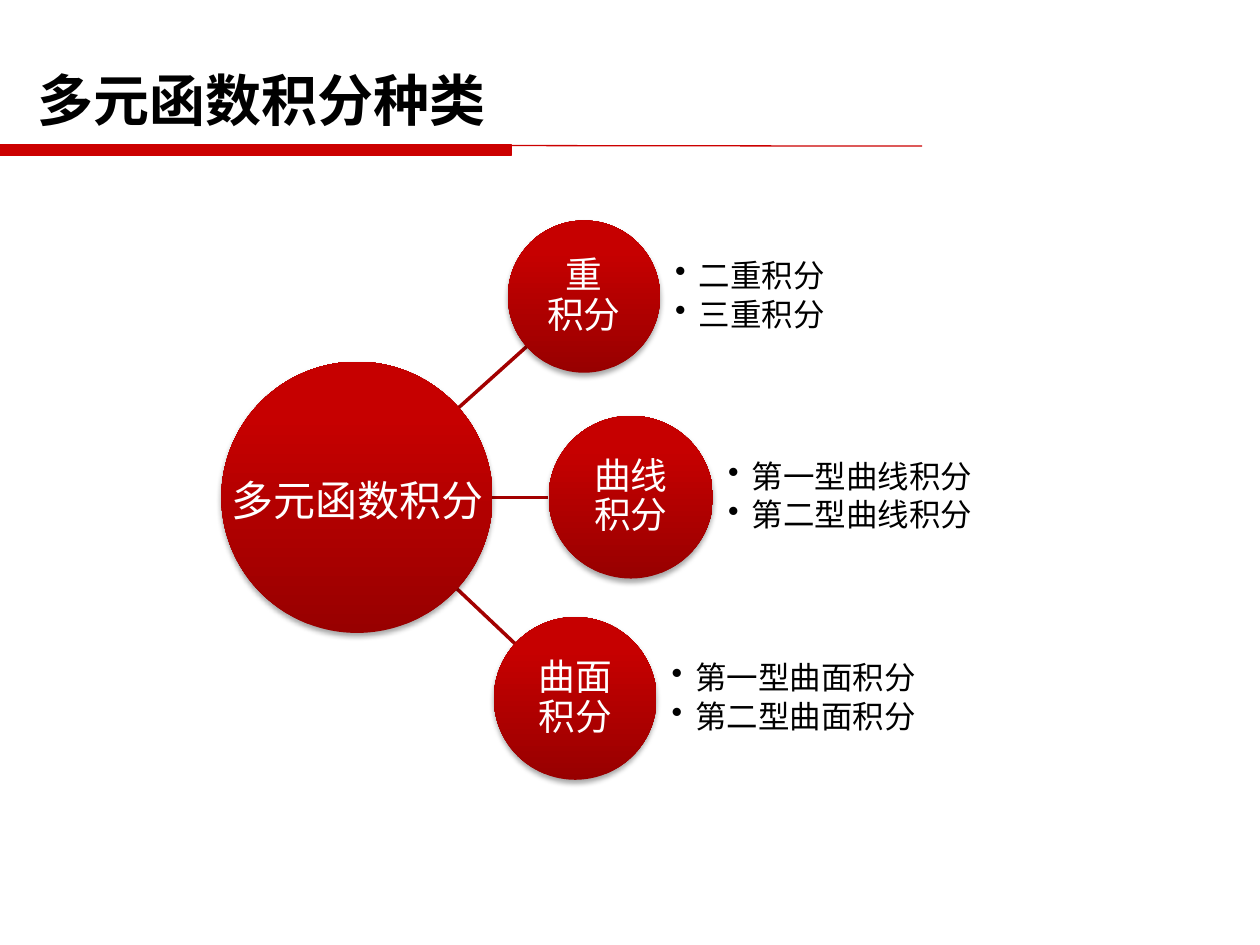
from copy import deepcopy
from dataclasses import dataclass

from pptx import Presentation
from pptx.dml.color import RGBColor as RGB
from pptx.enum.shapes import MSO_CONNECTOR as LINE, MSO_SHAPE as KIND
from pptx.enum.text import MSO_ANCHOR as ANCHOR, MSO_AUTO_SIZE as FIT, PP_ALIGN as ALIGN
from pptx.oxml import parse_xml
from pptx.oxml.ns import nsdecls, qn
from pptx.util import Pt


@dataclass
class Theme:
    red: RGB = RGB(0xCC, 0, 0)
    link: RGB = RGB(0xA3, 0, 0)
    ink: RGB = RGB(0, 0, 0)
    white: RGB = RGB(255, 255, 255)
    grad: tuple = ((0, "980000"), (0.8, "C60000"), (1, "C70000"))
    head: int = 32
    root: int = 24
    node: int = 21
    item: int = 18
    sans: str = "Noto Sans CJK SC"
    serif: str = "Cambria"
    plain: str = "Arial"


theme = Theme()
prs = Presentation()
prs.slide_width, prs.slide_height = Pt(720), Pt(540)
slide = prs.slides.add_slide(prs.slide_layouts[6])
shapes = slide.shapes


def add_text(box, lines, size, font, color, bold=False, inset=None):
    """Add a text box with one paragraph per entry of lines."""
    frame = shapes.add_textbox(*map(Pt, box)).text_frame
    frame.word_wrap = inset is not None
    if inset is None:
        frame.auto_size = FIT.SHAPE_TO_FIT_TEXT
    else:
        frame.vertical_anchor = ANCHOR.MIDDLE
        frame.margin_left = frame.margin_right = Pt(inset)
        frame.margin_top = frame.margin_bottom = Pt(inset)
    for i, line in enumerate(lines):
        para = frame.add_paragraph() if i else frame.paragraphs[0]
        for j, part in enumerate(line.split("\n")):
            if j:
                para.add_line_break()
            run = para.add_run()
            run.text = part
            run.font.size, run.font.name, run.font.bold = Pt(size), font, bold
            run.font.color.rgb = color
    return frame.paragraphs


def add_disc(x, y, w, h):
    """Add a circle with a red gradient and a soft shadow."""
    disc = shapes.add_shape(KIND.OVAL, *map(Pt, (x, y, w, h)))
    disc.line.fill.background()
    disc.fill.gradient()
    disc.fill.gradient_angle = 90
    stops = disc._element.spPr.find(".//" + qn("a:gsLst"))
    stops.append(deepcopy(stops[0]))
    for stop, (pos, color) in zip(disc.fill.gradient_stops, theme.grad):
        stop.position, stop.color.rgb = pos, RGB.from_string(color)
    disc.shadow.inherit = False
    disc._element.spPr.find(qn("a:effectLst")).append(parse_xml(
        f'<a:outerShdw {nsdecls("a")} blurRad="{Pt(3.1)}" dist="{Pt(1.8)}" '
        'dir="5400000" rotWithShape="0"><a:srgbClr val="000000">'
        '<a:alpha val="35000"/></a:srgbClr></a:outerShdw>'))


# Heading bar
bar = shapes.add_shape(KIND.RECTANGLE, 0, Pt(82.8), Pt(292.3), Pt(5.8))
bar.shadow.inherit = False
bar.fill.solid()
bar.fill.fore_color.rgb = bar.line.color.rgb = theme.red
bar.line.width = Pt(0.75)

# Heading rule, then the links from the root to each node
rules = [
    (0, 82.8, 527, 83.5, theme.red, 0.75),
    (258.5, 334, 294.5, 368, theme.link, 2),
    (258.5, 284.2, 313.2, 284.2, theme.link, 2),
    (258.5, 236.2, 301, 198, theme.link, 2),
]
for *ends, color, width in rules:
    rule = shapes.add_connector(LINE.STRAIGHT, *map(Pt, ends))
    rule.line.color.rgb, rule.line.width = color, Pt(width)
    rule._element.spPr.append(parse_xml(f'<a:effectLst {nsdecls("a")}/>'))

# Title
add_text((14.4, 33.8, 272.9, 46), ["多元函数积分种类"],
         theme.head, theme.sans, theme.ink, bold=True)

# Root circle
add_disc(126.5, 206.7, 155, 155)

# Nodes, each with its label and list
nodes = [
    (290.2, 126, 87, 87, "重\n积分", ["二重积分", "三重积分"]),
    (313.5, 237.6, 94, 93, "曲线\n积分", ["第一型曲线积分", "第二型曲线积分"]),
    (282.2, 352.6, 93, 93, "曲面\n积分", ["第一型曲面积分", "第二型曲面积分"]),
]
for x, y, w, h, label, items in nodes:
    add_disc(x, y, w, h)
    dx, dy = w * 0.146, h * 0.146
    for para in add_text((x + dx, y + dy, w - 2 * dx, h - 2 * dy), [label],
                         theme.node, theme.serif, theme.white, inset=0.7):
        para.alignment, para.line_spacing = ALIGN.CENTER, 0.9
    for para in add_text((x + w + 8.6, y, w * 1.5, h), items,
                         theme.item, theme.serif, theme.ink, inset=0):
        para.line_spacing, para.space_after = 0.9, Pt(2.7)
        props = para._p.get_or_add_pPr()
        props.set("marL", str(Pt(13.5)))
        props.set("indent", str(-Pt(13.5)))
        props.append(parse_xml(f'<a:buChar {nsdecls("a")} char="•"/>'))

# Root label
add_text((125.3, 267.8, 159.8, 36.4), ["多元函数积分"],
         theme.root, theme.plain, theme.white)

prs.save("out.pptx")
